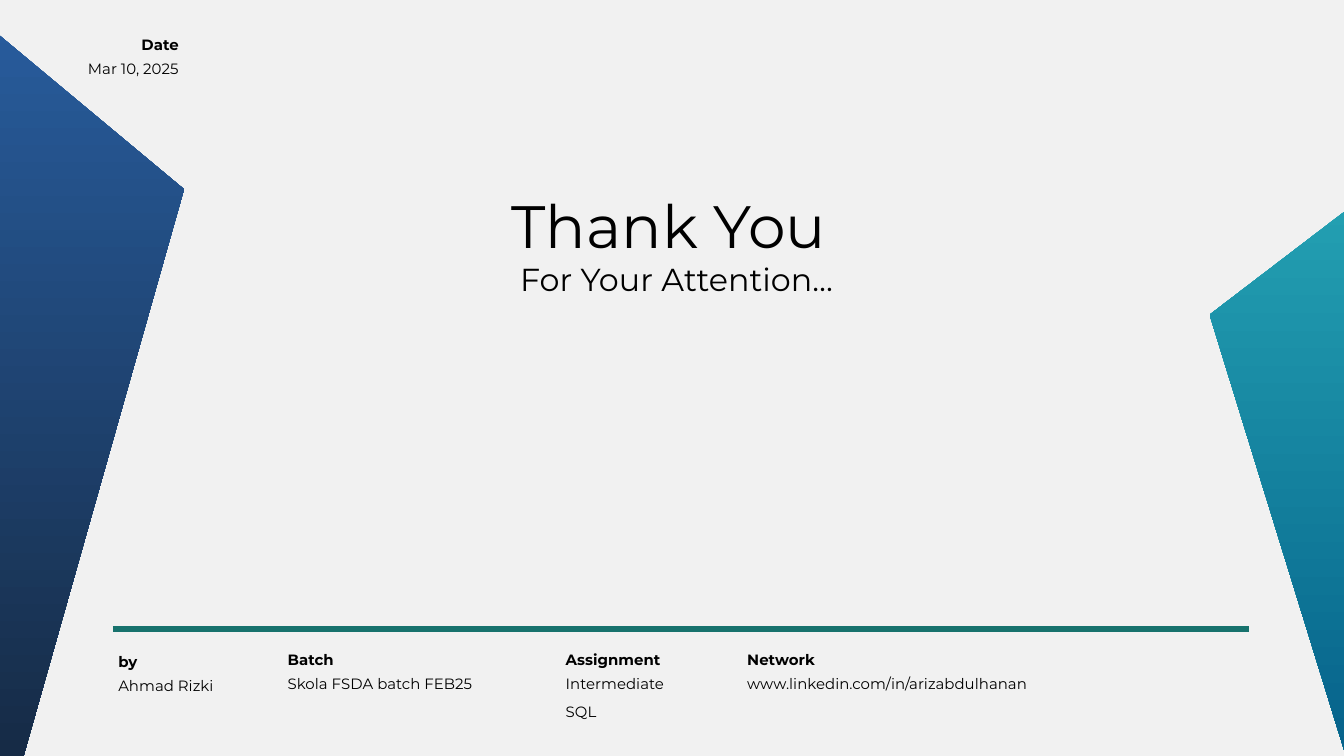
import pptx
import pptx.dml.color
import pptx.enum.shapes
import pptx.enum.text
import pptx.oxml
import pptx.util
from pptx.util import Inches

RGBColor = pptx.dml.color.RGBColor
Alignment = pptx.enum.text.PP_ALIGN
AutoSize = pptx.enum.text.MSO_AUTO_SIZE

FONT = "Montserrat"
BLACK = RGBColor(0x00, 0x00, 0x00)
BACKGROUND = RGBColor(0xF1, 0xF1, 0xF1)
RULE_GREEN = RGBColor(0x17, 0x72, 0x6D)
BLUES = (RGBColor(0x2C, 0x68, 0xB2), RGBColor(0x16, 0x2B, 0x46))
TEALS = (RGBColor(0x2F, 0xBA, 0xC2), RGBColor(0x00, 0x56, 0x83))


def format_paragraph(paragraph, size, alignment, bold=False):
    """Align a paragraph and style its runs."""
    paragraph.alignment = alignment
    for run in paragraph.runs:
        run.font.name = FONT
        run.font.size = pptx.util.Pt(size)
        run.font.bold = bold
        run.font.color.rgb = BLACK


def set_margins(text_frame, margin):
    """Give all four sides of a text frame the same margin."""
    text_frame.margin_left = text_frame.margin_right = Inches(margin)
    text_frame.margin_top = text_frame.margin_bottom = Inches(margin)


def add_pentagon(slide, left, top, width, height, colors):
    """Draw a pentagon shaded from top to bottom."""
    shape = slide.shapes.add_shape(
        pptx.enum.shapes.MSO_SHAPE.REGULAR_PENTAGON,
        Inches(left), Inches(top), Inches(width), Inches(height))
    shape.shadow.inherit = False
    shape.line.fill.background()
    shape.fill.gradient()
    shape.fill.gradient_angle = 270
    for stop, color, position in zip(shape.fill.gradient_stops, colors, (0, 1)):
        stop.color.rgb = color
        stop.position = position


def add_rule(slide, left, top, width):
    """Draw the horizontal rule above the details."""
    line = slide.shapes.add_connector(
        pptx.enum.shapes.MSO_CONNECTOR.STRAIGHT,
        Inches(left), Inches(top), Inches(left + width), Inches(top))
    line.line.color.rgb = RULE_GREEN
    line.line.width = pptx.util.Pt(3)
    line._element.spPr.append(pptx.oxml.parse_xml(
        '<a:effectLst xmlns:a="http://schemas.openxmlformats.org/drawingml/2006/main"/>'))


def add_text(slide, left, top, width, height, text, alignment, bold):
    """Add a small text box that grows with its text."""
    box = slide.shapes.add_textbox(
        Inches(left), Inches(top), Inches(width), Inches(height))
    text_frame = box.text_frame
    text_frame.word_wrap = True
    text_frame.auto_size = AutoSize.SHAPE_TO_FIT_TEXT
    set_margins(text_frame, 0)
    text_frame.text = text
    for paragraph in text_frame.paragraphs:
        format_paragraph(paragraph, 8, alignment, bold)
        paragraph.line_spacing = 1.55


def add_detail(slide, left, top, width, label, value, alignment=Alignment.JUSTIFY):
    """Place a bold label with its value below."""
    value_height = 0.34 if "\n" in value else 0.13
    add_text(slide, left, top, width, 0.13, label, alignment, True)
    add_text(slide, left, top + 0.18, width, value_height, value, alignment, False)


def add_title(slide, left, top, width, height):
    """Fill the title placeholder with the two closing lines."""
    title = slide.shapes.title
    title.left, title.top = Inches(left), Inches(top)
    title.width, title.height = Inches(width), Inches(height)
    text_frame = title.text_frame
    text_frame.word_wrap = True
    text_frame.auto_size = AutoSize.NONE
    text_frame.vertical_anchor = pptx.enum.text.MSO_ANCHOR.MIDDLE
    set_margins(text_frame, 0.06)
    text_frame.text = "Thank You \nFor Your Attention…"
    for paragraph, size in zip(text_frame.paragraphs, (32, 17)):
        format_paragraph(paragraph, size, Alignment.CENTER)


def build_closing_slide(presentation):
    """Build the closing slide."""
    slide = presentation.slides.add_slide(presentation.slide_layouts[5])
    slide.background.fill.solid()
    slide.background.fill.fore_color.rgb = BACKGROUND
    add_pentagon(slide, -4.89, -1.2, 6.26, 6.83, BLUES)
    add_pentagon(slide, 9, -0.16, 6.55, 6.55, TEALS)
    add_title(slide, 1.65, 1.24, 6.77, 1.14)
    add_rule(slide, 0.84, 4.68, 8.45)
    add_detail(slide, -0.16, 0.19, 1.49, "Date", "Mar 10, 2025", Alignment.RIGHT)
    details = (
        (0.88, 4.78, 1.49, "by", "Ahmad Rizki"),
        (2.14, 4.77, 1.49, "Batch", "Skola FSDA batch FEB25"),
        (4.21, 4.77, 1.34, "Assignment", "Intermediate\nSQL"),
        (5.56, 4.77, 2.13, "Network", "www.linkedin.com/in/arizabdulhanan"),
    )
    for detail in details:
        add_detail(slide, *detail)


def main():
    """Create and save the presentation."""
    presentation = pptx.Presentation()
    presentation.slide_width = Inches(10)
    presentation.slide_height = presentation.slide_width * 9 // 16
    build_closing_slide(presentation)
    presentation.save("out.pptx")


if __name__ == "__main__":
    main()
